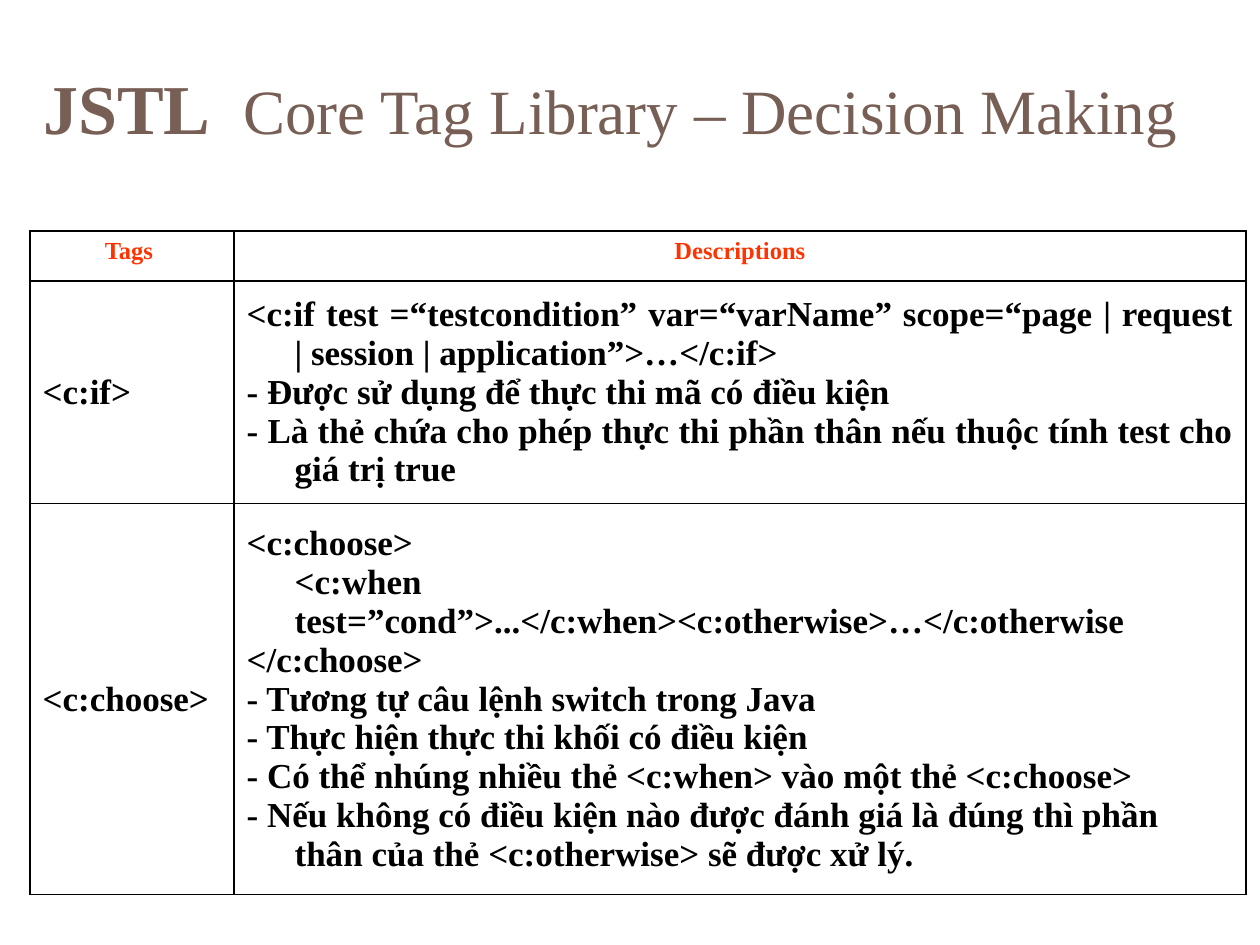
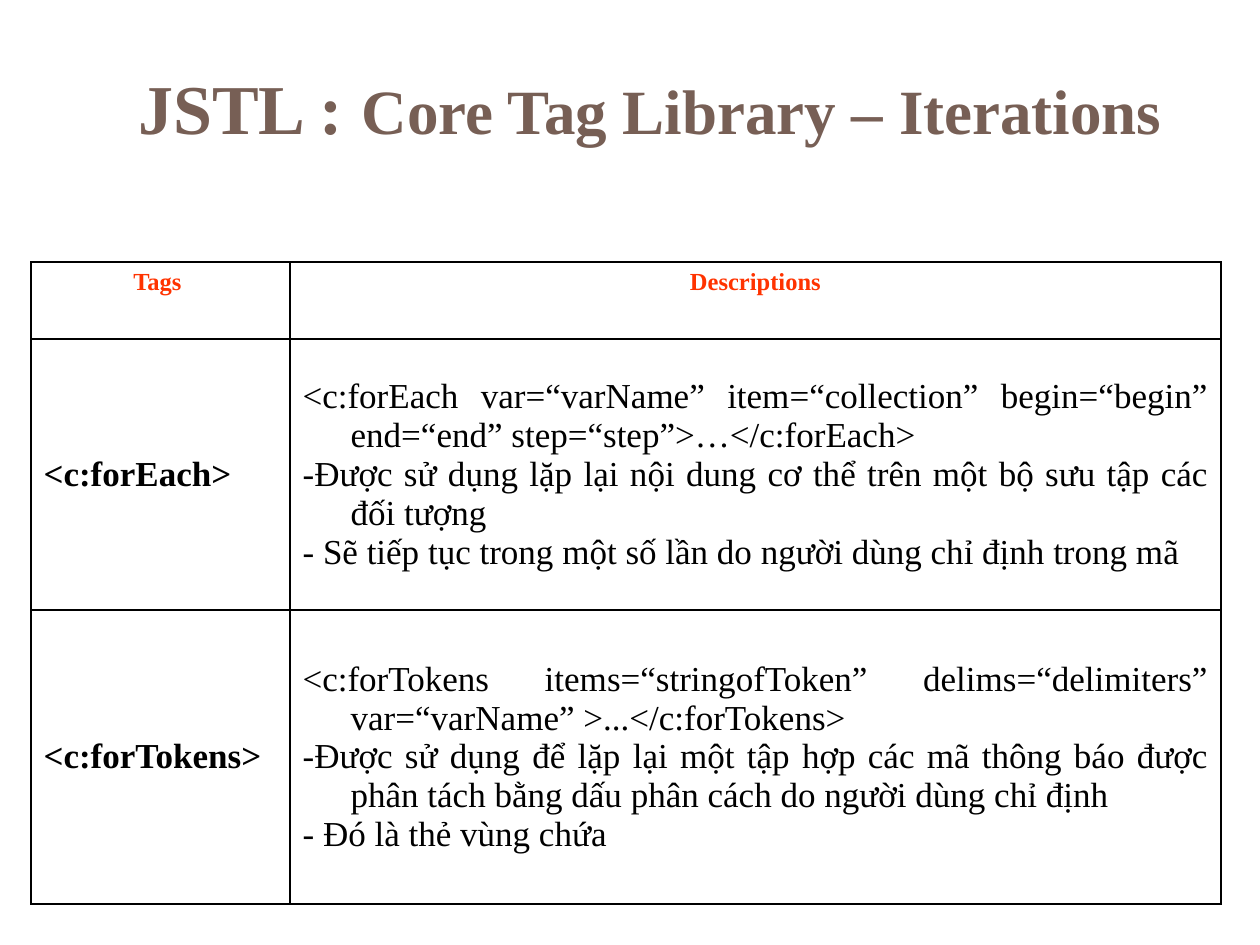
from pptx import Presentation
from pptx.dml.color import RGBColor
from pptx.enum.text import MSO_ANCHOR as Anchor, PP_ALIGN as Align
from pptx.oxml import parse_xml
from pptx.oxml.ns import nsdecls
from pptx.util import Emu, Pt

PX = 914400 / 126
FONT = "Times New Roman"
TITLE_BROWN = RGBColor(0x77, 0x5F, 0x55)
HEADER_RED = RGBColor(0xFF, 0x33, 0x00)
BLACK = RGBColor(0, 0, 0)
HANGING = 48
TITLE_HEIGHT = 195
HEADERS = ("Tags ", "Descriptions")

DECISIONS = [
    ("<c:if>", [
        "<c:if test =“testcondition” var=“varName” scope=“page | request | session | application”>…</c:if>",
        "- Được sử dụng để thực thi mã có điều kiện",
        "- Là thẻ chứa cho phép thực thi phần thân nếu thuộc tính test cho giá trị true",
    ], Align.JUSTIFY),
    ("<c:choose>", [
        "<c:choose>\n<c:when test=”cond”>...</c:when><c:otherwise>…</c:otherwise",
        "</c:choose>",
        "- Tương tự câu lệnh switch trong Java",
        "- Thực hiện thực thi khối có điều kiện",
        "- Có thể nhúng nhiều thẻ <c:when> vào một thẻ <c:choose>",
        "- Nếu không có điều kiện nào được đánh giá là đúng thì phần thân của thẻ <c:otherwise> sẽ được xử lý.",
    ], Align.LEFT),
]

ITERATIONS = [
    ("<c:forEach>", [
        "<c:forEach var=“varName” item=“collection” begin=“begin” end=“end” step=“step”>…</c:forEach>",
        "-Được sử dụng lặp lại nội dung cơ thể trên một bộ sưu tập các đối tượng",
        "- Sẽ tiếp tục trong một số lần do người dùng chỉ định trong mã",
    ], Align.JUSTIFY),
    ("<c:forTokens>", [
        "<c:forTokens items=“stringofToken” delims=“delimiters” var=“varName” >...</c:forTokens>",
        "-Được sử dụng để lặp lại một tập hợp các mã thông báo được phân tách bằng dấu phân cách do người dùng chỉ định",
        "- Đó là thẻ vùng chứa",
    ], Align.JUSTIFY),
]


def px(length):
    return Emu(round(length * PX))


def add_run(paragraph, text, size, color, bold=True):
    run = paragraph.add_run()
    run.text = text
    run.font.name = FONT
    run.font.size = Pt(size)
    run.font.bold = bold
    run.font.color.rgb = color


def add_title(slide, left, width, runs):
    """Add a one-line title; runs are (text, size, bold)."""
    frame = slide.shapes.add_textbox(px(left), 0, px(width), px(TITLE_HEIGHT)).text_frame
    frame.word_wrap = True
    frame.vertical_anchor = Anchor.MIDDLE
    frame.margin_top, frame.margin_bottom = px(18), px(6)
    for text, size, bold in runs:
        add_run(frame.paragraphs[0], text, size, TITLE_BROWN, bold)


def add_borders(cell):
    properties = cell._tc.get_or_add_tcPr()
    for index, side in enumerate("LRTB"):
        properties.insert(index, parse_xml(
            f'<a:ln{side} {nsdecls("a")} w="{Pt(1)}"><a:solidFill>'
            f'<a:srgbClr val="{BLACK}"/></a:solidFill></a:ln{side}>'))


def fill_cell(cell, texts, size=20, color=BLACK, bold=True, align=Align.LEFT, anchor=Anchor.MIDDLE):
    cell.fill.background()
    add_borders(cell)
    cell.vertical_anchor = anchor
    frame = cell.text_frame
    for index, text in enumerate(texts):
        paragraph = frame.add_paragraph() if index else frame.paragraphs[0]
        paragraph.alignment = align
        properties = paragraph._p.get_or_add_pPr()
        properties.set("marL", str(px(HANGING)))
        properties.set("indent", str(-px(HANGING)))
        for number, line in enumerate(text.split("\n")):
            if number:
                paragraph.add_line_break()
            add_run(paragraph, line, size, color, bold)


def add_tag_table(slide, left, top, widths, heights, entries, bold):
    """Add a table of tags; bold applies to the descriptions."""
    table = slide.shapes.add_table(
        len(heights), len(widths), px(left), px(top), px(sum(widths)), px(sum(heights))).table
    table.first_row = table.horz_banding = False
    for column, width in zip(table.columns, widths):
        column.width = px(width)
    for row, height in zip(table.rows, heights):
        row.height = px(height)
    for column, header in enumerate(HEADERS):
        fill_cell(table.cell(0, column), [header], 14, HEADER_RED,
                  align=Align.CENTER, anchor=Anchor.TOP)
    for row, (tag, descriptions, align) in enumerate(entries, 1):
        fill_cell(table.cell(row, 0), [tag])
        fill_cell(table.cell(row, 1), descriptions, bold=bold, align=align)


def main():
    presentation = Presentation()
    presentation.slide_width, presentation.slide_height = px(1260), px(945)
    blank = presentation.slide_layouts[6]

    decisions = presentation.slides.add_slide(blank)
    add_title(decisions, 31, 1229, [
        ("JSTL ", 40, True), (" ", 44, True), ("Core Tag Library – Decision Making", 36, False)])
    add_tag_table(decisions, 30, 231, (204, 1012), (50, 222, 363), DECISIONS, bold=True)

    iterations = presentation.slides.add_slide(blank)
    add_title(iterations, 126, 1134, [
        ("JSTL :", 40, True), (" ", 44, True), ("Core Tag Library – Iterations", 36, True)])
    add_tag_table(iterations, 31, 262, (259, 931), (77, 271, 294), ITERATIONS, bold=False)

    presentation.save("out.pptx")


if __name__ == "__main__":
    main()
